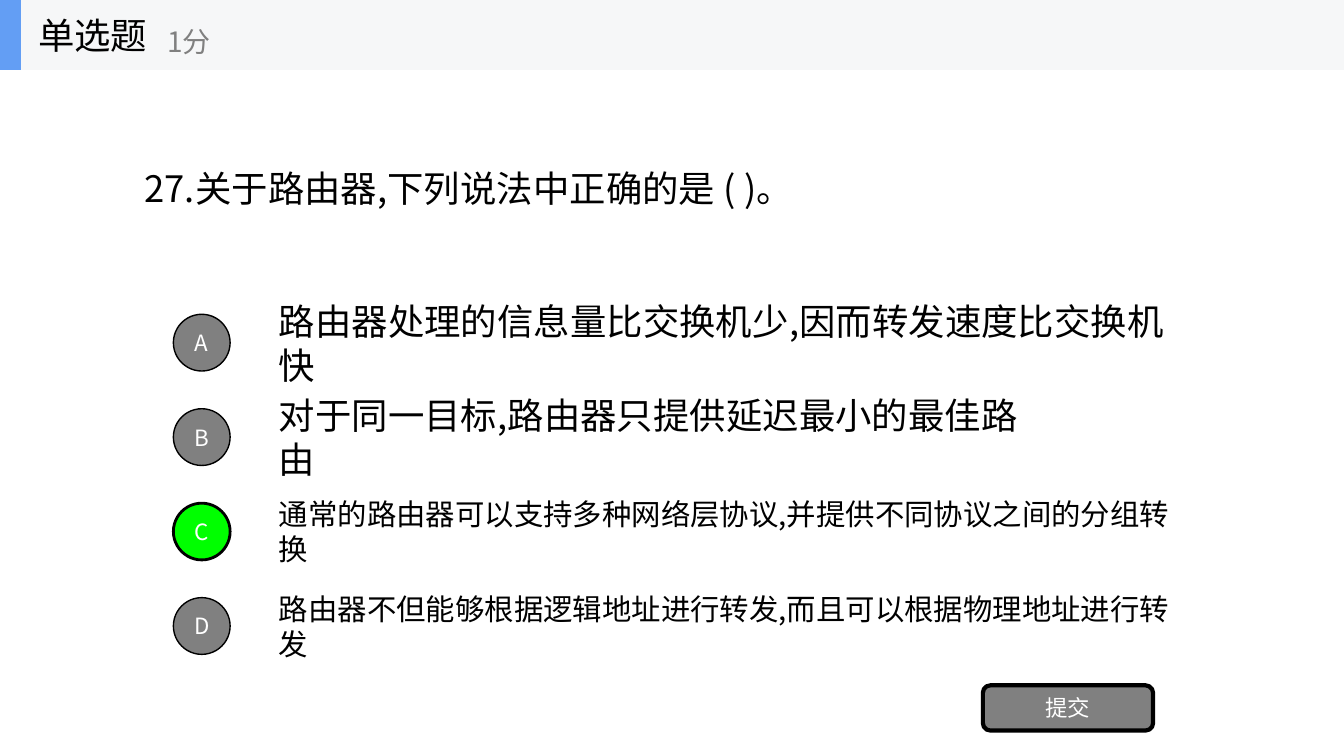
from dataclasses import dataclass

from pptx import Presentation
from pptx.dml.color import RGBColor
from pptx.enum import shapes, text
from pptx.oxml import ns
from pptx.util import Cm, Pt
from lxml import etree


@dataclass(frozen=True)
class Theme:
    font: str = "Noto Sans CJK SC"
    ink: str = "000000"
    white: str = "FFFFFF"
    grey: str = "808080"
    correct: str = "00FF00"
    band: str = "F6F7F8"
    accent: str = "639EF4"
    large: int = 26
    medium: int = 21
    points: int = 20
    label: int = 16


theme = Theme()


def write(shape, content, size, color, align=text.PP_ALIGN.LEFT,
          wrap=True, fit=text.MSO_AUTO_SIZE.NONE):
    frame = shape.text_frame
    frame.text = content
    frame.word_wrap = wrap
    frame.auto_size = fit
    frame.vertical_anchor = text.MSO_ANCHOR.MIDDLE
    paragraph = frame.paragraphs[0]
    paragraph.alignment = align
    font = paragraph.runs[0].font
    font.size = Pt(size)
    font.name = theme.font
    font.color.rgb = RGBColor.from_string(color)
    east_asian = etree.SubElement(font._element, ns.qn("a:ea"))
    east_asian.set("typeface", theme.font)


def draw(parent, kind, left, top, width, height, fill, line_width=0):
    shape = parent.add_shape(kind, Cm(left), Cm(top), Cm(width), Cm(height))
    shape.shadow.inherit = False
    shape.fill.solid()
    shape.fill.fore_color.rgb = RGBColor.from_string(fill)
    if line_width:
        shape.line.color.rgb = RGBColor.from_string(theme.ink)
        shape.line.width = Pt(line_width)
    else:
        shape.line.fill.background()
    return shape


presentation = Presentation()
presentation.slide_width = Cm(33.87)
presentation.slide_height = Cm(19.05)
slide = presentation.slides.add_slide(presentation.slide_layouts[5])
fit_text = text.MSO_AUTO_SIZE.SHAPE_TO_FIT_TEXT
center = text.PP_ALIGN.CENTER

question = slide.shapes.title
question.left, question.top = Cm(3.39), Cm(4.06)
question.width, question.height = Cm(16.93), Cm(1.35)
write(question, "27.关于路由器,下列说法中正确的是 ( )。", theme.large, theme.ink, fit=fit_text)

options = [
    ("A", "路由器处理的信息量比交换机少,因而转发速度比交换机快", 23.65, theme.large),
    ("B", "对于同一目标,路由器只提供延迟最小的最佳路由", 20, theme.large),
    ("C", "通常的路由器可以支持多种网络层协议,并提供不同协议之间的分组转换", 23.65, theme.medium),
    ("D", "路由器不但能够根据逻辑地址进行转发,而且可以根据物理地址进行转发", 23.65, theme.medium),
]
answer = "C"
first_top, pitch, diameter = 7.92, 2.38, 1.43

for row, (letter, statement, width, size) in enumerate(options):
    top = first_top + row * pitch
    height = 1.35 if size == theme.large else 1.15
    option = slide.shapes.add_textbox(
        Cm(6.78), Cm(top + (diameter - height) / 2), Cm(width), Cm(height))
    write(option, statement, size, theme.ink, fit=fit_text)
    is_answer = letter == answer
    circle = draw(slide.shapes, shapes.MSO_SHAPE.OVAL, 4.37, top, diameter, diameter,
                  theme.correct if is_answer else theme.grey, 2 if is_answer else 1)
    write(circle, letter, theme.label, theme.white, center)

submit = draw(slide.shapes, shapes.MSO_SHAPE.ROUNDED_RECTANGLE,
              24.77, 17.27, 4.29, 1.14, theme.grey, 3)
write(submit, "提交", theme.label, theme.white, center)

header = slide.shapes.add_group_shape().shapes
header_height = 1.76
for width, color in [(33.87, theme.band), (0.53, theme.accent)]:
    draw(header, shapes.MSO_SHAPE.RECTANGLE, 0, 0, width, header_height, color)
heading = header.add_textbox(Cm(0.71), Cm(0), Cm(5.28), Cm(header_height))
write(heading, "单选题", theme.large, theme.ink, wrap=False)
score = header.add_textbox(Cm(3.96), Cm(0.32), Cm(6.35), Cm(1.43))
write(score, "1分", theme.points, theme.grey, wrap=False)

presentation.save("out.pptx")
